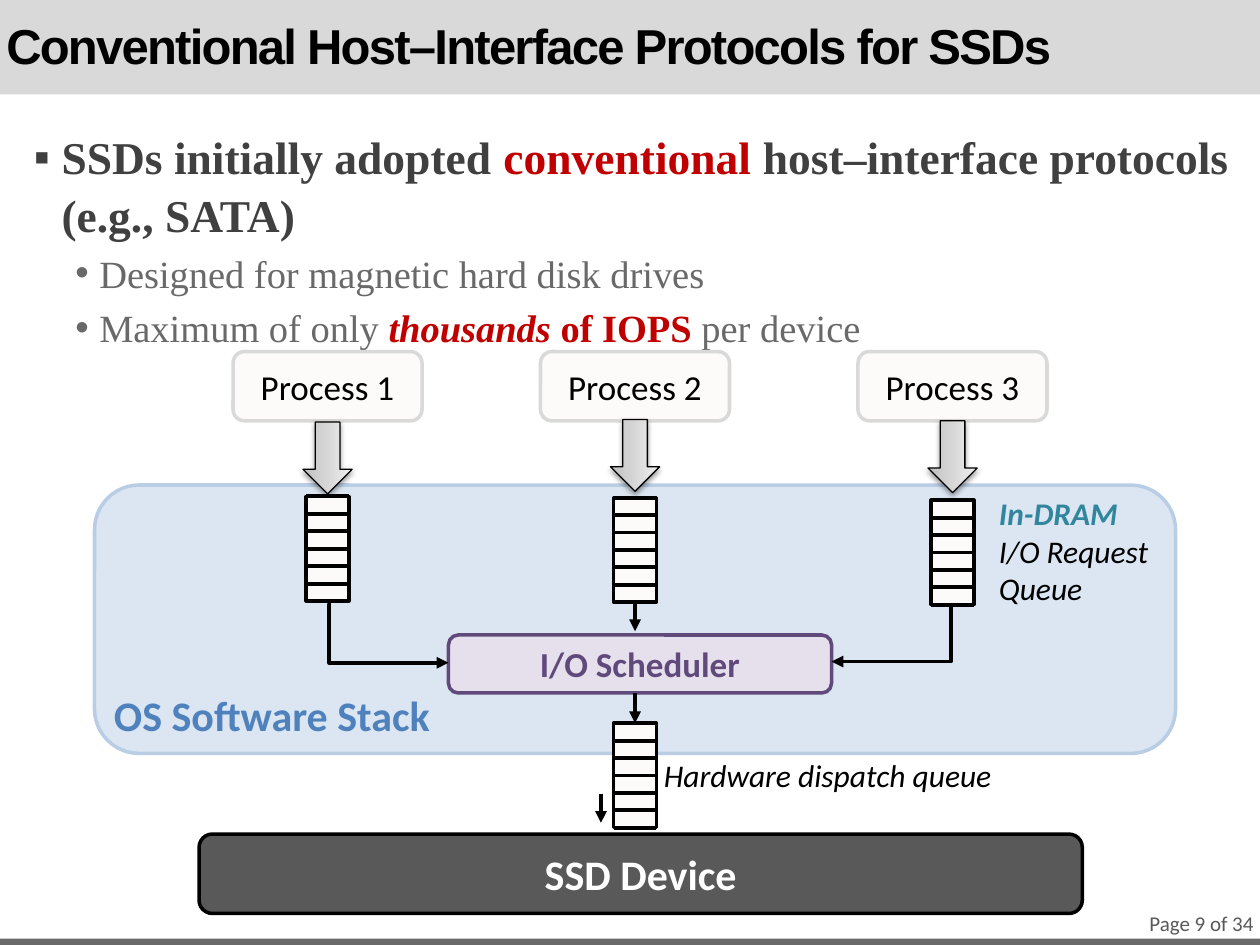
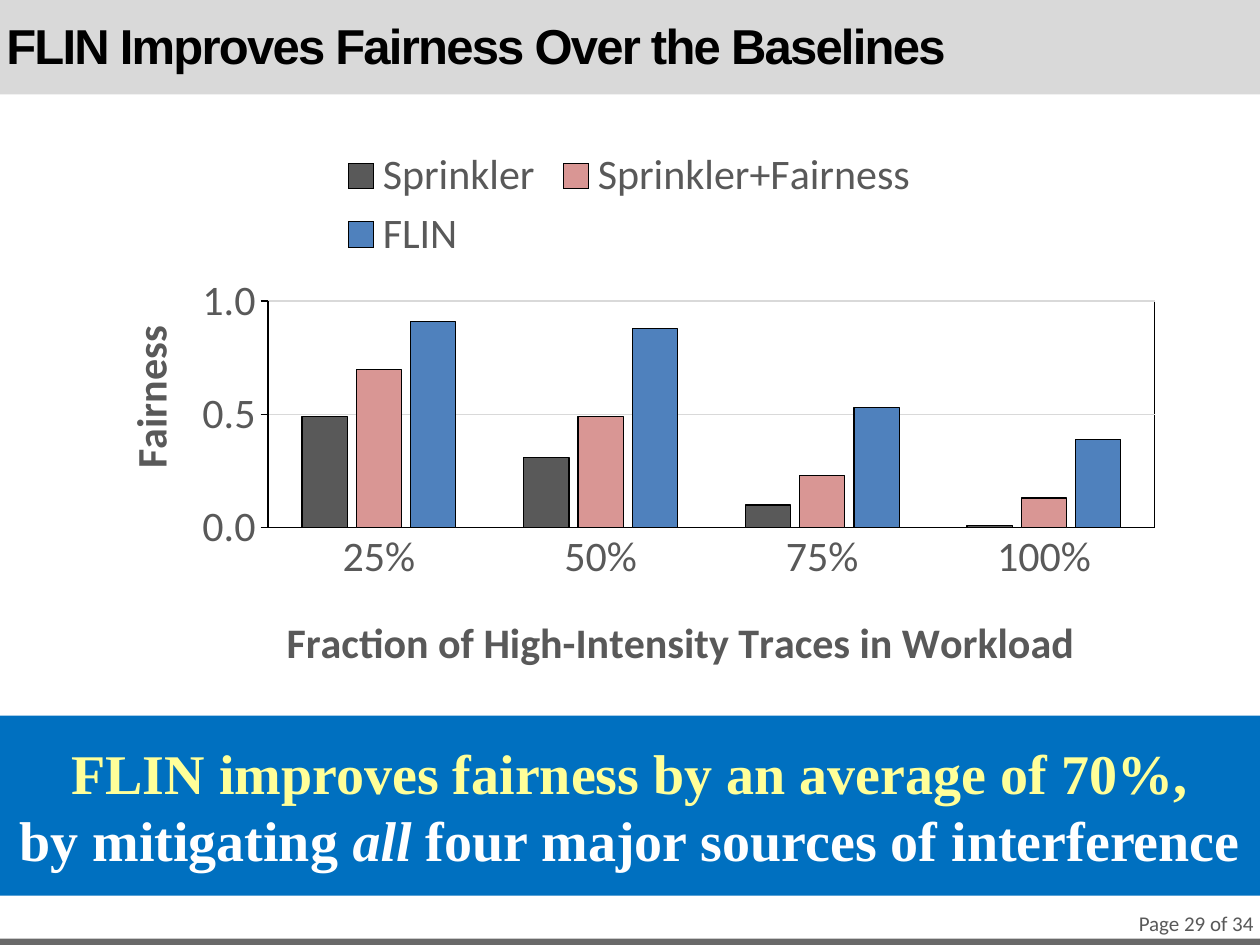
"""Build two slides on host interfaces and fairness of SSDs."""
from dataclasses import dataclass, field
from typing import Any, NamedTuple

from lxml import etree
from pptx import Presentation
from pptx import util as u
from pptx.chart import data
from pptx.dml.color import RGBColor
from pptx.enum import chart as ch, shapes, text
from pptx.oxml import ns

BLACK = RGBColor(0, 0, 0)
WHITE = RGBColor(255, 255, 255)
BAND = RGBColor(0xD9, 0xD9, 0xD9)
GREY = RGBColor(0x69, 0x69, 0x69)
DARK = RGBColor(0x59, 0x59, 0x59)
INK = RGBColor(0x40, 0x40, 0x40)
RED = RGBColor(0xC0, 0, 0)
CREAM = RGBColor(0xFC, 0xFB, 0xF9)
PALE = RGBColor(0xDC, 0xE6, 0xF2)
SKY = RGBColor(0xB9, 0xCD, 0xE5)
BLUE = RGBColor(0x4F, 0x81, 0xBD)
LILAC = RGBColor(0xE6, 0xE0, 0xEC)
PLUM = RGBColor(0x60, 0x4A, 0x7B)
TEAL = RGBColor(0x31, 0x85, 0x9C)
ROSE = RGBColor(0xD9, 0x96, 0x94)
BANNER = RGBColor(0, 0x70, 0xC0)
LEMON = RGBColor(0xFF, 0xFF, 0x99)

COLS, ROWS = 100, 75
CELL = u.Inches(10) // COLS
PAGES = 34
RECT = shapes.MSO_SHAPE.RECTANGLE
ROUND = shapes.MSO_SHAPE.ROUNDED_RECTANGLE
LEFT, MID, RIGHT = text.PP_ALIGN.LEFT, text.PP_ALIGN.CENTER, text.PP_ALIGN.RIGHT
TOP, CENTRE, BASE = text.MSO_ANCHOR.TOP, text.MSO_ANCHOR.MIDDLE, text.MSO_ANCHOR.BOTTOM


class Run(NamedTuple):
    """Hold words, their colour and any change of style."""
    words: str
    tint: RGBColor
    style: dict[str, Any] = {}


class Para(NamedTuple):
    """Hold runs and, for a list item, the bullet format."""
    runs: list[Run]
    mark: str = ""
    left: float = 0
    hang: float = 0
    before: float = 0


@dataclass
class Box:
    """Describe a shape, or a text box if it has no kind."""
    place: tuple[float, float, float, float]
    paras: list[Para] = field(default_factory=list)
    font: dict[str, Any] = field(default_factory=dict)
    kind: Any = None
    fill: RGBColor = WHITE
    line: RGBColor | None = None
    align: Any = MID
    anchor: Any = CENTRE
    inset: tuple[float, float, float, float] = (1, 0.5, 1, 0.5)
    wrap: bool = True


class Lane(NamedTuple):
    """Hold the left column of a process and the rows below it."""
    left: float
    arrow: float
    queue: float


class Link(NamedTuple):
    """Hold the ends of an arrow and the share at which it bends."""
    start: tuple[float, float]
    end: tuple[float, float]
    bend: float | None = None


class Bars(NamedTuple):
    """Hold one series of the chart."""
    name: str
    vals: tuple[float, ...]
    tint: RGBColor


def face(name: str, size: float, **more: Any) -> dict[str, Any]:
    """Return font values."""
    return {"name": name, "size": u.Pt(size), **more}


def apply(thing: Any, vals: dict[str, Any]) -> None:
    """Set each value on the thing."""
    for key, val in vals.items():
        setattr(thing, key, val)


def cells(*nums: float) -> list[int]:
    """Turn grid counts into lengths."""
    return [round(n * CELL) for n in nums]


def node(parent: Any, tag: str, **vals: Any) -> Any:
    """Add an XML child."""
    return etree.SubElement(parent, ns.qn(tag), {k: str(v) for k, v in vals.items()})


def write(frame: Any, box: Box) -> None:
    """Fill a text frame from a box."""
    names = ("margin_left", "margin_top", "margin_right", "margin_bottom")
    apply(frame, dict(zip(names, cells(*box.inset))))
    apply(frame, {"word_wrap": box.wrap, "vertical_anchor": box.anchor})
    for i, item in enumerate(box.paras):
        para = frame.add_paragraph() if i else frame.paragraphs[0]
        para.alignment = box.align
        if item.mark:
            props = para._p.get_or_add_pPr()
            props.set("marL", str(cells(item.left)[0]))
            props.set("indent", str(-cells(item.hang)[0]))
            node(props, "a:buFont", typeface="Arial")
            node(props, "a:buChar", char=item.mark)
            para.line_spacing = 1.06
        if item.before:
            para.space_before = u.Pt(item.before)
        for part in item.runs:
            for j, words in enumerate(part.words.split("\n")):
                if j:
                    para.add_line_break()
                if words:
                    run = para.add_run()
                    run.text = words
                    apply(run.font, box.font | part.style)
                    run.font.color.rgb = part.tint


def draw(slide: Any, box: Box) -> Any:
    """Draw a box with its text."""
    if box.kind is None:
        shape = slide.shapes.add_textbox(*cells(*box.place))
    else:
        shape = slide.shapes.add_shape(box.kind, *cells(*box.place))
        paint(shape, box.fill, box.line)
    write(shape.text_frame, box)
    return shape


def paint(shape: Any, fill: RGBColor, line: RGBColor | None, width: float = 2) -> None:
    """Give a shape plain fill and line."""
    shape.shadow.inherit = False
    shape.fill.solid()
    shape.fill.fore_color.rgb = fill
    if line is None:
        shape.line.fill.background()
    else:
        shape.line.color.rgb = line
        shape.line.width = u.Pt(width)


def join(host: Any, link: Link, head: bool = True) -> None:
    """Draw a line, straight or bent, with or without a head."""
    kinds = shapes.MSO_CONNECTOR
    kind = kinds.STRAIGHT if link.bend is None else kinds.ELBOW
    wire = host.shapes.add_connector(kind, *cells(*link.start, *link.end))
    wire.line.color.rgb = BLACK
    wire.line.width = u.Pt(2.25)
    props = wire._element.spPr
    if head:
        node(wire.line._get_or_add_ln(), "a:tailEnd", type="triangle")
    if link.bend is not None:
        guides = props.find(".//" + ns.qn("a:avLst"))
        node(guides, "a:gd", name="adj1", fmla=f"val {round(link.bend * 100000)}")
    node(props, "a:effectLst")


def queue(slide: Any, left: float, top: float) -> None:
    """Draw a queue of six slots."""
    wide, high, slots = 3.4, 8.3, 6
    group = slide.shapes.add_group_shape()
    paint(group.shapes.add_shape(RECT, *cells(left, top, wide, high)), CREAM, BLACK)
    for i in range(slots + 1):
        row = top + i * high / slots
        join(group, Link((left, row), (left + wide, row)), head=False)


def arrow(slide: Any, left: float, top: float) -> None:
    """Draw a shaded block arrow that points down."""
    shape = slide.shapes.add_shape(shapes.MSO_SHAPE.RIGHT_ARROW, *cells(left, top, 5.7, 3.9))
    shape.rotation = 90
    paint(shape, BAND, BLACK, 0.75)
    shape.fill.gradient()
    shape.fill.gradient_angle = 90
    props = shape._element.spPr
    stops = props.find(".//" + ns.qn("a:gsLst"))
    stops.clear()
    for pos, tint in ((0, "BDBDBD"), (35, "D1D1D1"), (100, "EEEEEE")):
        node(node(stops, "a:gs", pos=pos * 1000), "a:srgbClr", val=tint)
    glow = node(props.find(ns.qn("a:effectLst")), "a:outerShdw", blurRad=u.Pt(3.1),
                dist=u.Pt(1.6), dir=5400000, rotWithShape=0)
    node(node(glow, "a:srgbClr", val="000000"), "a:alpha", val=38000)


def start(deck: Any, title: str, page: int) -> Any:
    """Add a slide with bands, title and page count."""
    slide = deck.slides.add_slide(deck.slide_layouts[6])
    draw(slide, Box((0, 0, COLS, 7.5), kind=RECT, fill=BAND))
    draw(slide, Box((0, ROWS - 0.5, COLS, 0.5), kind=RECT, fill=GREY))
    head = draw(slide, Box((0, 1.5, 86.7, 4.7), [Para([Run(title, BLACK)])],
                           face("Arial", 28, bold=True), align=LEFT, inset=(0.5, 0, 0.5, 0.5)))
    for run in head.text_frame.paragraphs[0].runs:
        run.font._element.set("spc", "-100")
    draw(slide, Box((85, 72, 15, 2.5), [Para([Run(f"Page {page} of {PAGES}", DARK)])],
                    face("Calibri", 12), align=RIGHT, inset=(0.5, 0, 0.5, 0)))
    return slide


def stack(deck: Any) -> None:
    """Build the slide on the I/O path."""
    slide = start(deck, "Conventional Host–Interface Protocols for SSDs", 9)
    bold, plain = {"bold": True}, {"size": u.Pt(22)}
    sub = {"mark": "•", "left": 5.2, "hang": 1.9, "before": 3}
    draw(slide, Box((1.7, 9.5, 98.3, 17.5), [
        Para([Run("SSDs initially adopted ", INK, bold), Run("conventional", RED, bold),
              Run(" host–interface protocols\n(e.g., SATA)", INK, bold)], "▪", 2.2, 2.2),
        Para([Run("Designed for magnetic hard disk drives", GREY, plain)], **sub),
        Para([Run("Maximum of only ", GREY, plain),
              Run("thousands", RED, plain | bold | {"italic": True}),
              Run(" of IOPS", RED, plain | bold), Run(" per device", GREY, plain)], **sub),
    ], face("Times New Roman", 26), align=LEFT, anchor=TOP))

    lanes = [Lane(18.5, 34.4, 39.4), Lane(42.9, 34.2, 39.5), Lane(68.1, 34.3, 39.7)]
    for i, lane in enumerate(lanes, 1):
        draw(slide, Box((lane.left, 27.9, 15, 5.5), [Para([Run(f"Process {i}", BLACK)])],
                        face("Calibri", 20), ROUND, CREAM, BAND))
    large = face("Calibri", 24, bold=True)
    draw(slide, Box((7.5, 38.5, 85.8, 21.3), [Para([Run("OS Software Stack", BLUE)])], large,
                    ROUND, PALE, SKY, LEFT, BASE, (0.5, 0.5, 1, 0)))
    draw(slide, Box((15.8, 66.2, 70.1, 6.3), [Para([Run("SSD Device", WHITE)])], large,
                    ROUND, DARK, BLACK))
    for lane in lanes:
        arrow(slide, lane.left + 4.65, lane.arrow)
        queue(slide, lane.left + 5.8, lane.queue)
    queue(slide, 48.7, 57.4)

    note = {"font": face("Calibri", 18, italic=True), "align": LEFT, "anchor": TOP, "wrap": False}
    draw(slide, Box((51.7, 59.5, 28.4, 4), [Para([Run("Hardware dispatch queue", BLACK)])], **note))
    draw(slide, Box((35.6, 50.4, 30.4, 4.6), [Para([Run("I/O Scheduler", PLUM)])],
                    face("Calibri", 20, bold=True), ROUND, LILAC, PLUM))
    for link in (Link((26, 47.9), (35.6, 52.6), 0.015), Link((75.6, 48), (66, 52.5), 0.013),
                 Link((50.4, 47.8), (50.4, 50.1)), Link((50.4, 55), (50.4, 57.4)),
                 Link((47.7, 63), (47.7, 65.3))):
        join(slide, link)
    draw(slide, Box((78.3, 38.7, 14, 10.1), [
        Para([Run("In-DRAM", TEAL, bold)]), Para([Run("I/O Request", BLACK)]),
        Para([Run("Queue", BLACK)])], **note))


def settle(part: Any, index: int, **spots: float) -> None:
    """Fix a chart part at shares of the chart's size."""
    frame = part.find(ns.qn("c:layout"))
    if frame is None:
        frame = etree.Element(ns.qn("c:layout"))
        part.insert(index, frame)
    spot = node(frame, "c:manualLayout")
    if index == 0:
        node(spot, "c:layoutTarget", val="inner")
    for key in ("x", "y"):
        node(spot, f"c:{key}Mode", val="edge")
    for key, val in spots.items():
        node(spot, f"c:{key}", val=val)


def graph(slide: Any) -> None:
    """Draw the fairness chart."""
    table = data.CategoryChartData(number_format="#,##0.0")
    table.categories = [0.25, 0.5, 0.75, 1]
    table.categories.number_format = "0%"
    rows = [Bars("Sprinkler", (0.49, 0.31, 0.1, 0.01), DARK),
            Bars("Sprinkler+Fairness", (0.7, 0.49, 0.23, 0.13), ROSE),
            Bars("FLIN", (0.91, 0.88, 0.53, 0.39), BLUE)]
    for row in rows:
        table.add_series(row.name, row.vals)
    chart = slide.shapes.add_chart(ch.XL_CHART_TYPE.COLUMN_CLUSTERED,
                                   *cells(6.5, 10, 86.9, 44.9), table).chart
    apply(chart, {"has_title": False, "has_legend": True})
    apply(chart.font, face("Calibri", 24))
    chart.font.color.rgb = DARK
    apply(chart.legend, {"position": ch.XL_LEGEND_POSITION.TOP, "include_in_layout": False})
    settle(chart.legend._element, 1, x=0.23, y=0.03, w=0.54, h=0.22)
    plot = chart.plots[0]
    apply(plot, {"gap_width": 150, "overlap": -20, "vary_by_categories": False})
    for bars, row in zip(plot.series, rows):
        bars.format.fill.solid()
        bars.format.fill.fore_color.rgb = row.tint
        bars.format.line.color.rgb = BLACK
        bars.format.line.width = u.Pt(0.75)

    ticks = ch.XL_TICK_MARK
    cats, vals = chart.category_axis, chart.value_axis
    apply(cats, {"major_tick_mark": ticks.NONE, "has_major_gridlines": False})
    apply(vals, {"major_tick_mark": ticks.OUTSIDE, "has_major_gridlines": True,
                 "minimum_scale": 0, "maximum_scale": 1, "major_unit": 0.5})
    grid = vals.major_gridlines.format.line
    grid.color.rgb, grid.width = BAND, u.Pt(1)
    for axis, title, form, turn, x, y in (
            (cats, "Fraction of High-Intensity Traces in Workload", "0%", 0, 0.18, 0.85),
            (vals, "Fairness", "#,##0.0", -5400000, 0.03, 0.34)):
        apply(axis.tick_labels, {"number_format": form, "number_format_is_linked": False})
        axis.format.line.color.rgb = BLACK
        axis.format.line.width = u.Pt(1)
        frame = axis.axis_title.text_frame
        frame.text = title
        font = frame.paragraphs[0].runs[0].font
        apply(font, face("Calibri", 24, bold=True))
        font.color.rgb = DARK
        frame._txBody.bodyPr.set("rot", str(turn))
        settle(axis.axis_title._element, 1, x=x, y=y)
    area = chart._chartSpace.chart.plotArea
    settle(area, 0, x=0.17, y=0.31, w=0.81, h=0.4)
    edge = node(node(area, "c:spPr"), "a:ln", w=u.Pt(0.75))
    node(node(edge, "a:solidFill"), "a:srgbClr", val=str(BLACK))


def fair(deck: Any) -> None:
    """Build the slide on fairness."""
    slide = start(deck, "FLIN Improves Fairness Over the Baselines", 29)
    graph(slide)
    draw(slide, Box((0, 56.8, COLS, 14.3), [Para([
        Run("FLIN improves fairness by an average of 70%,\n", LEMON), Run("by mitigating ", WHITE),
        Run("all", WHITE, {"italic": True}), Run(" four major sources of interference", WHITE)])],
        face("Times New Roman", 32, bold=True), RECT, BANNER))


def main() -> None:
    """Build and save the deck."""
    deck = Presentation()
    deck.slide_width, deck.slide_height = cells(COLS, ROWS)
    stack(deck)
    fair(deck)
    deck.save("out.pptx")


if __name__ == "__main__":
    main()
